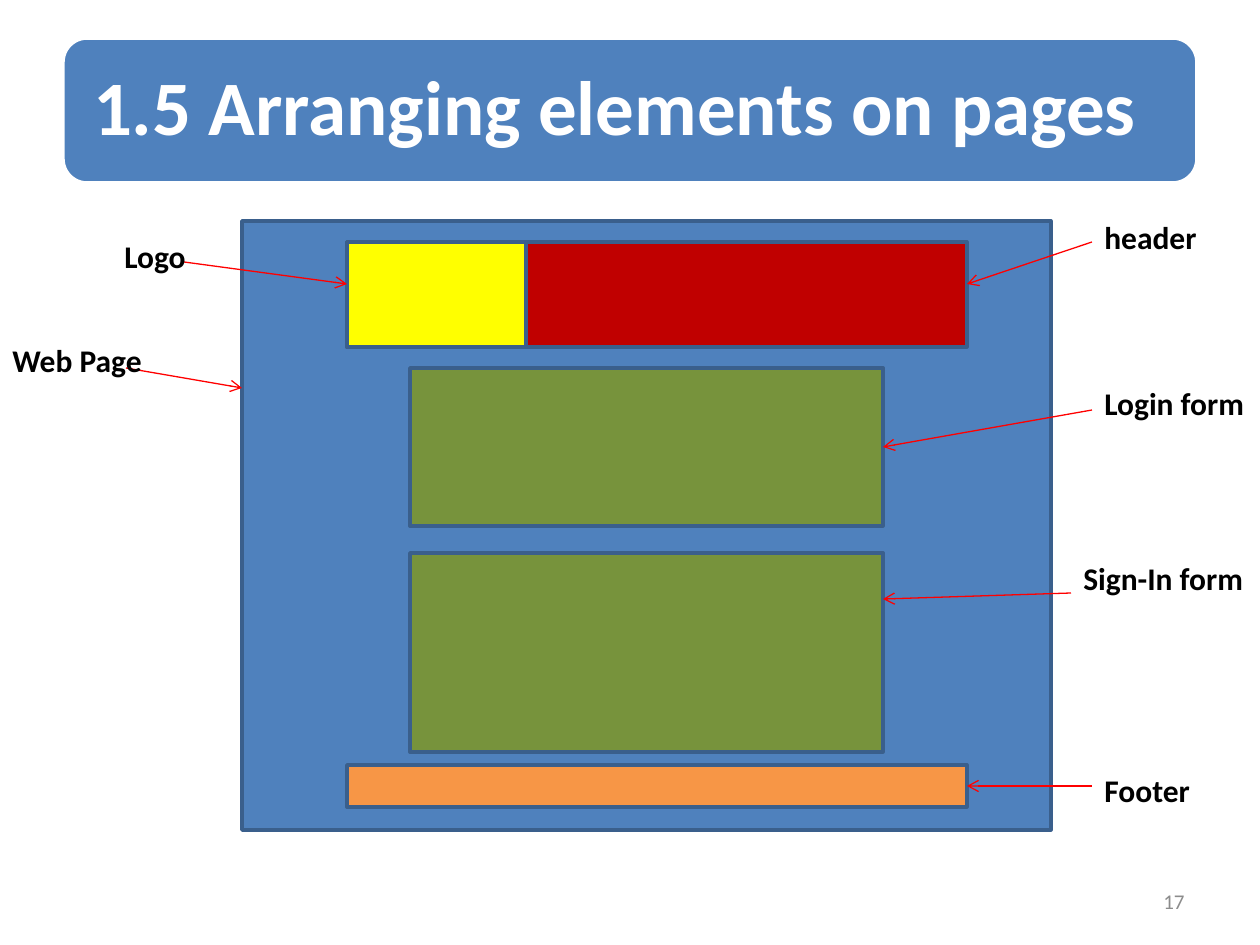
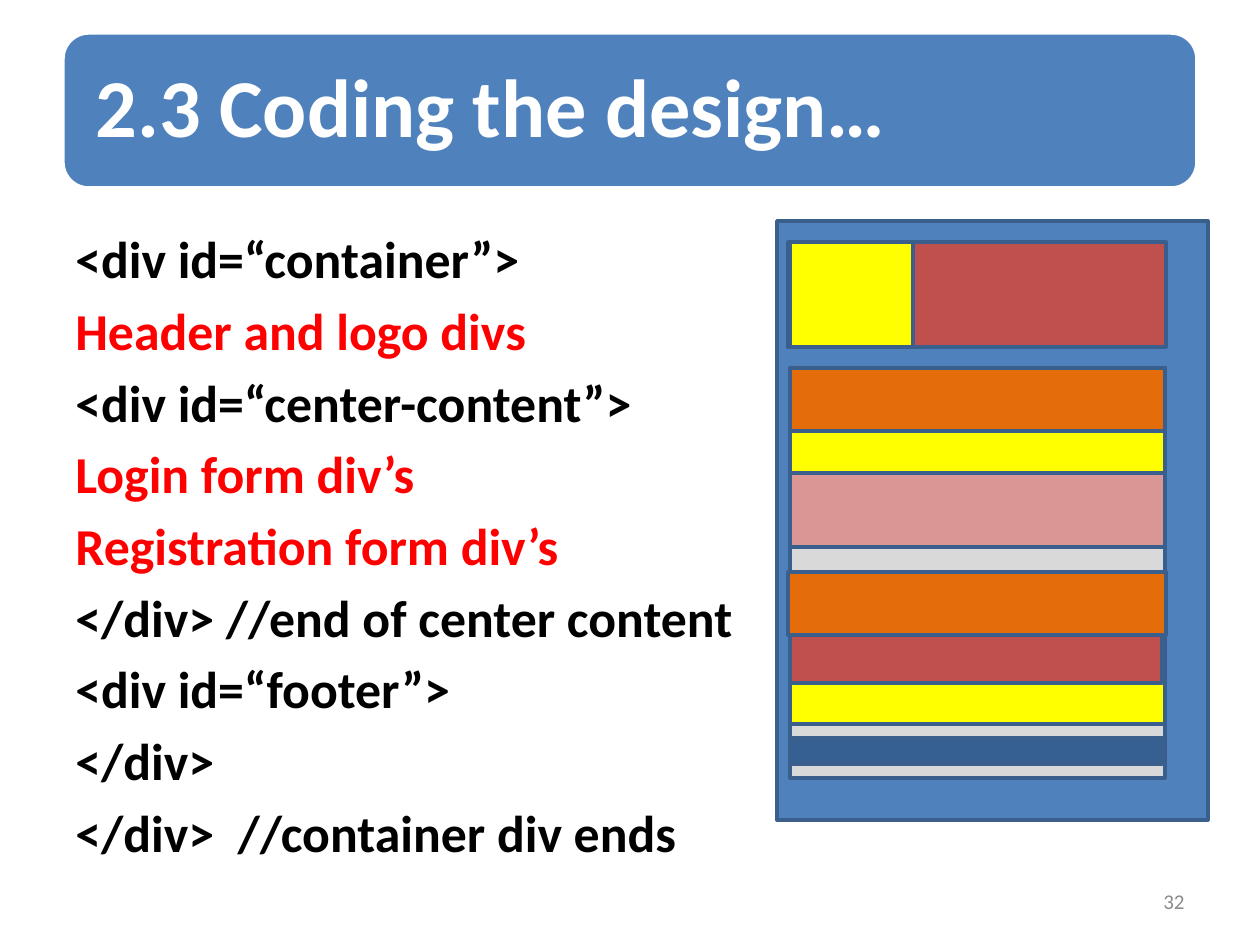
from lxml import etree
from pptx import Presentation
from pptx.dml.color import RGBColor
from pptx.enum.shapes import MSO_CONNECTOR, MSO_SHAPE
from pptx.enum.text import MSO_ANCHOR, PP_ALIGN
from pptx.oxml.ns import qn
from pptx.util import Pt

PX = 914400 / 126
FONT = "Calibri"
RIGHT_SIDE = 3

WHITE = RGBColor(0xFF, 0xFF, 0xFF)
BLACK = RGBColor(0x00, 0x00, 0x00)
GREY = RGBColor(0x8C, 0x8C, 0x8C)
SILVER = RGBColor(0xD9, 0xD9, 0xD9)
BLUE = RGBColor(0x4F, 0x81, 0xBD)
NAVY = RGBColor(0x37, 0x60, 0x92)
EDGE = RGBColor(0x3A, 0x5F, 0x8C)
RED = RGBColor(0xFF, 0x00, 0x00)
DARK_RED = RGBColor(0xC0, 0x00, 0x00)
BRICK = RGBColor(0xC0, 0x50, 0x4D)
PINK = RGBColor(0xD9, 0x96, 0x94)
YELLOW = RGBColor(0xFF, 0xFF, 0x00)
GREEN = RGBColor(0x77, 0x93, 0x3C)
ORANGE = RGBColor(0xF7, 0x96, 0x46)
DARK_ORANGE = RGBColor(0xE4, 0x6C, 0x0A)


def px(*lengths):
    return [round(n * PX) for n in lengths]


def add_run(p, text, size, color, bold=True):
    r = p.add_run()
    r.text = text
    r.font.name = FONT
    r.font.size = Pt(size)
    r.font.bold = bold
    r.font.color.rgb = color


def add_box(s, x, y, w, h, fill, line=EDGE, kind=MSO_SHAPE.RECTANGLE):
    sp = s.shapes.add_shape(kind, *px(x, y, w, h))
    sp.shadow.inherit = False
    sp.fill.solid()
    sp.fill.fore_color.rgb = fill
    sp.line.color.rgb = line
    sp.line.width = Pt(2)
    return sp


def add_text(s, x, y, w, h):
    tf = s.shapes.add_textbox(*px(x, y, w, h)).text_frame
    tf.word_wrap = True
    return tf


def add_label(s, text, x, y, w):
    add_run(add_text(s, x, y, w, 50).paragraphs[0], text, 18, BLACK)


def add_arrow(s, x1, y1, x2, y2):
    cxn = s.shapes.add_connector(MSO_CONNECTOR.STRAIGHT, *px(x1, y1, x2, y2))
    cxn.line.color.rgb = RED
    cxn.line.width = Pt(0.75)
    etree.SubElement(cxn.line._get_or_add_ln(), qn("a:tailEnd"), type="arrow")
    etree.SubElement(cxn._element.spPr, qn("a:effectLst"))
    return cxn


def add_title(s, text, y, h, size, inset):
    band = add_box(s, 63, y, 1134, h, BLUE, WHITE, MSO_SHAPE.ROUNDED_RECTANGLE)
    tf = band.text_frame
    tf.word_wrap = True
    tf.vertical_anchor = MSO_ANCHOR.MIDDLE
    tf.margin_left, tf.margin_top, tf.margin_right, tf.margin_bottom = px(*[inset] * 4)
    p = tf.paragraphs[0]
    p.alignment = PP_ALIGN.LEFT
    p.line_spacing = 0.9
    add_run(p, text, size, WHITE)


def add_page_number(s, number):
    tf = add_text(s, 903, 876, 294, 50)
    tf.vertical_anchor = MSO_ANCHOR.MIDDLE
    p = tf.paragraphs[0]
    p.alignment = PP_ALIGN.RIGHT
    add_run(p, number, 12, GREY, bold=False)


def add_code(s, lines):
    tf = add_text(s, 63, 221, 1134, 624)
    for i, (text, color) in enumerate(lines):
        p = tf.add_paragraph() if i else tf.paragraphs[0]
        p.space_before = Pt(5.4 if i else 0)
        add_run(p, text, 29.6, color)


def build_layout_slide(s):
    add_title(s, "1.5 Arranging elements on pages", 38, 145, 44, 23)
    add_page_number(s, "17")

    add_box(s, 242, 221, 809, 609, BLUE)
    add_box(s, 347, 242, 620, 105, DARK_RED)
    add_box(s, 347, 242, 179, 105, YELLOW)
    login = add_box(s, 410, 368, 473, 158, GREEN)
    add_box(s, 410, 553, 473, 199, GREEN)
    footer = add_box(s, 347, 765, 620, 42, ORANGE)

    add_arrow(s, 126, 368, 242, 388)
    add_arrow(s, 1092, 242, 967, 284)
    add_arrow(s, 184, 262, 347, 284)
    add_arrow(s, 1092, 410, 883, 447).end_connect(login, RIGHT_SIDE)
    add_arrow(s, 1071, 593, 883, 599)
    add_arrow(s, 1092, 786, 967, 786).end_connect(footer, RIGHT_SIDE)

    for text, x, y, w in [
        ("Web Page", 0, 335, 179),
        ("header", 1092, 212, 147),
        ("Logo", 112, 231, 126),
        ("Login form", 1092, 378, 168),
        ("Sign-In form", 1071, 553, 189),
        ("Footer", 1092, 765, 168),
    ]:
        add_label(s, text, x, y, w)


def build_coding_slide(s):
    add_title(s, "2.3 Coding the design…", 33, 155, 47, 25)
    add_page_number(s, "32")
    add_code(s, [
        ("<div id=“container”>", BLACK),
        ("Header and logo divs", RED),
        ("<div id=“center-content”>", BLACK),
        ("Login form div’s", RED),
        ("Registration form div’s", RED),
        ("</div> //end of center content", BLACK),
        ("<div id=“footer”>", BLACK),
        ("</div>", BLACK),
        ("</div>  //container div ends", BLACK),
    ])
    for x, y, w, h, fill in [
        (777, 221, 431, 599, BLUE),
        (788, 242, 378, 105, BRICK),
        (790, 242, 123, 105, YELLOW),
        (790, 368, 375, 410, SILVER),
        (790, 368, 375, 179, PINK),
        (790, 368, 375, 63, DARK_ORANGE),
        (790, 431, 375, 42, YELLOW),
        (790, 572, 375, 152, YELLOW),
        (788, 572, 378, 63, DARK_ORANGE),
        (790, 635, 372, 48, BRICK),
        (790, 738, 372, 26, NAVY),
    ]:
        add_box(s, x, y, w, h, fill)


def main():
    prs = Presentation()
    prs.slide_width, prs.slide_height = px(1260, 945)
    for build in (build_layout_slide, build_coding_slide):
        build(prs.slides.add_slide(prs.slide_layouts[6]))
    prs.save("out.pptx")


if __name__ == "__main__":
    main()
